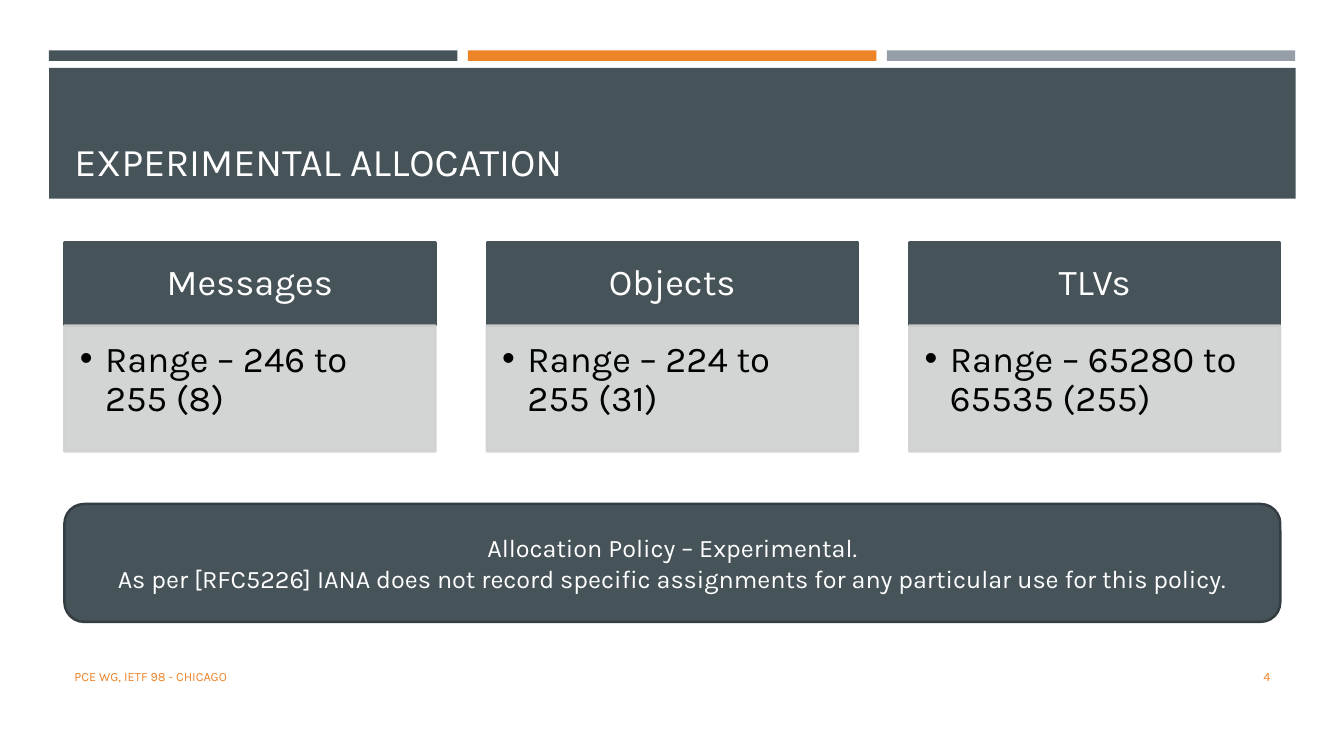
import pptx
import pptx.util
import pptx.dml.color
import pptx.enum.shapes
import pptx.enum.text
import pptx.oxml.ns
import lxml.etree

Pt = pptx.util.Pt
Kind = pptx.enum.shapes.MSO_SHAPE
Align = pptx.enum.text.PP_ALIGN
Anchor = pptx.enum.text.MSO_ANCHOR
qn = pptx.oxml.ns.qn

TITLE = "EXPERIMENTAL ALLOCATION"
COLUMNS = [
    ("Messages", "Range – 246 to 255 (8)"),
    ("Objects", "Range – 224 to 255 (31)"),
    ("TLVs", "Range – 65280 to 65535 (255)"),
]
POLICY = [
    "Allocation Policy – Experimental.",
    "As per [RFC5226] IANA does not record specific assignments for any particular use for this policy.",
]
FOOTER = "PCE WG, IETF 98 - CHICAGO"
PAGE = "4"

FONT = "Karla"
SLATE, ORANGE, GRAY = "465359", "ED8428", "969FA7"
PALE, EDGE, WHITE, BLACK = "CFD1D1", "343D42", "FFFFFF", "000000"

LEFT, WIDTH = 46, 868.5
COLUMN_WIDTH = 265
COLUMN_STEP = (WIDTH - COLUMN_WIDTH) / (len(COLUMNS) - 1)
STRIPE_LEFT, STRIPE_WIDTH, STRIPE_STEP = 35, 291.75, 299.25
HEADER_TOP, HEADER_HEIGHT, BODY_HEIGHT = 173.25, 59.25, 90
FOOTER_TOP, FOOTER_HEIGHT = 468.75, 28.75


def rgb(value):
    return pptx.dml.color.RGBColor.from_string(value)


def add_box(slide, kind, place, fill, line=None):
    shape = slide.shapes.add_shape(kind, *map(Pt, place))
    shape.shadow.inherit = False
    shape.fill.solid()
    shape.fill.fore_color.rgb = rgb(fill)
    if line:
        shape.line.color.rgb = rgb(line)
        shape.line.width = Pt(1.75)
    else:
        shape.line.fill.background()
    return shape


def write(shape, lines, size, color, align, anchor, insets=(7.2, 3.6, 7.2, 3.6), spacing=1.0):
    frame = shape.text_frame
    frame.word_wrap = True
    frame.auto_size = pptx.enum.text.MSO_AUTO_SIZE.NONE
    frame.vertical_anchor = anchor
    frame.margin_left, frame.margin_top, frame.margin_right, frame.margin_bottom = map(Pt, insets)
    for index, line in enumerate(lines):
        paragraph = frame.add_paragraph() if index else frame.paragraphs[0]
        paragraph.alignment = align
        paragraph.line_spacing = spacing
        run = paragraph.add_run()
        run.text = line
        run.font.name = FONT
        run.font.size = Pt(size)
        run.font.color.rgb = rgb(color)


def add_bullet(paragraph, indent):
    properties = paragraph.runs[0].font and paragraph._p.get_or_add_pPr()
    properties.set("marL", str(Pt(indent)))
    properties.set("indent", str(-Pt(indent)))
    lxml.etree.SubElement(properties, qn("a:buFont"), typeface="Arial")
    lxml.etree.SubElement(properties, qn("a:buChar"), char="•")


def make_translucent(shape, percent):
    for color in shape.element.spPr.iter(qn("a:srgbClr")):
        lxml.etree.SubElement(color, qn("a:alpha"), val=str(percent * 1000))


def add_title(slide):
    for index, color in enumerate([SLATE, ORANGE, GRAY]):
        left = STRIPE_LEFT + index * STRIPE_STEP
        add_box(slide, Kind.RECTANGLE, (left, 36, STRIPE_WIDTH, 7.5), color)
    add_box(slide, Kind.RECTANGLE, (35, 48.5, 890.5, 93.5), SLATE)
    title = slide.shapes.title
    slide.shapes.element.append(title.element)
    title.left, title.top, title.width, title.height = map(Pt, (LEFT, 55.25, WIDTH, 80))
    write(title, [TITLE], 28, WHITE, Align.LEFT, Anchor.BOTTOM)


def add_columns(slide):
    for index, (heading, detail) in enumerate(COLUMNS):
        left = LEFT + index * COLUMN_STEP
        header = add_box(slide, Kind.RECTANGLE, (left, HEADER_TOP, COLUMN_WIDTH, HEADER_HEIGHT), SLATE, SLATE)
        write(header, [heading], 26, WHITE, Align.CENTER, Anchor.MIDDLE, (14.5, 8.5, 14.5, 8.5), 0.9)
        body_top = HEADER_TOP + HEADER_HEIGHT
        body = add_box(slide, Kind.RECTANGLE, (left, body_top, COLUMN_WIDTH, BODY_HEIGHT), PALE, PALE)
        make_translucent(body, 90)
        write(body, [detail], 26, BLACK, Align.LEFT, Anchor.TOP, (11, 11, 14.5, 16.5), 0.9)
        add_bullet(body.text_frame.paragraphs[0], 18)


def add_footer(slide):
    for text, left, width, align in [
        (FOOTER, LEFT, 544, Align.LEFT),
        (PAGE, LEFT + WIDTH - 83, 83, Align.RIGHT),
    ]:
        box = slide.shapes.add_textbox(*map(Pt, (left, FOOTER_TOP, width, FOOTER_HEIGHT)))
        write(box, [text], 9, ORANGE, align, Anchor.MIDDLE)


def main():
    presentation = pptx.Presentation()
    presentation.slide_width, presentation.slide_height = Pt(960), Pt(540)
    slide = presentation.slides.add_slide(presentation.slide_layouts[5])
    add_title(slide)
    add_columns(slide)
    add_footer(slide)
    policy = add_box(slide, Kind.ROUNDED_RECTANGLE, (LEFT, 360, WIDTH, 84.25), SLATE, EDGE)
    write(policy, POLICY, 18, WHITE, Align.CENTER, Anchor.MIDDLE)
    presentation.save("out.pptx")


if __name__ == "__main__":
    main()
